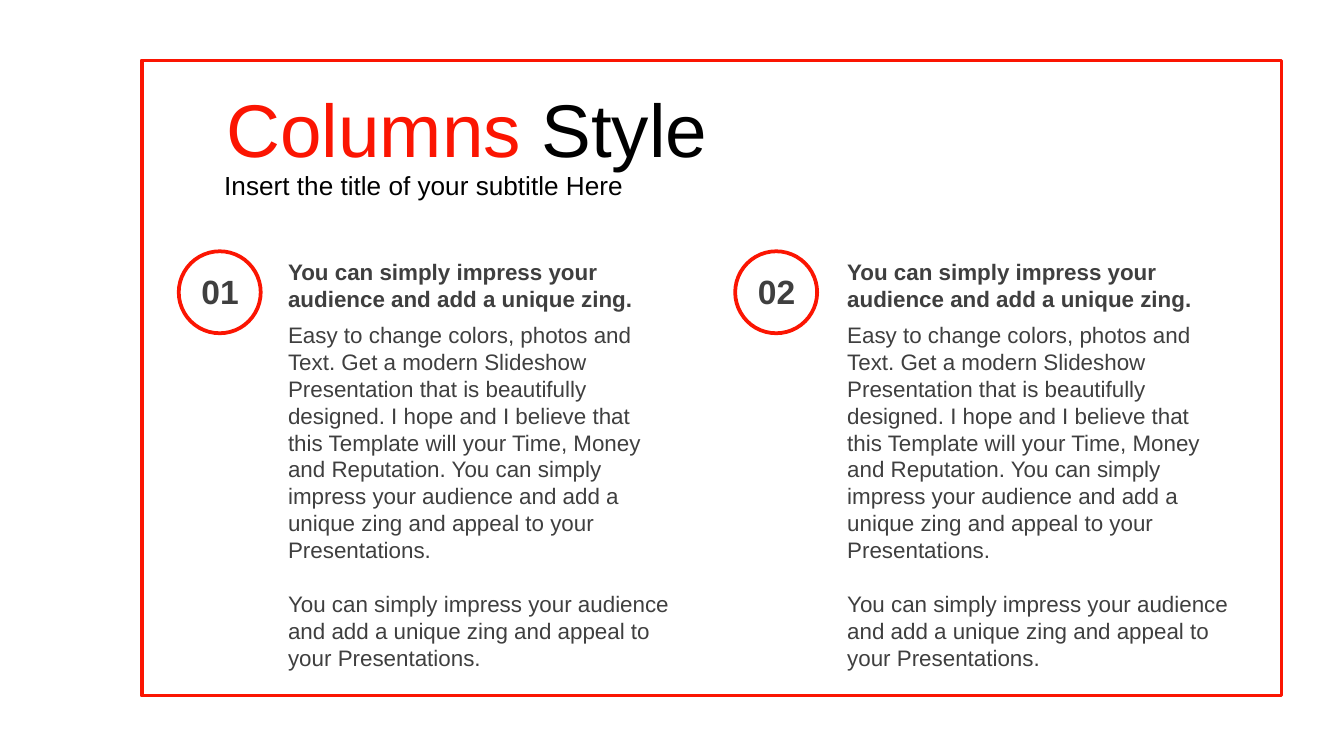
from pptx import Presentation
from pptx.dml.color import RGBColor
from pptx.enum.shapes import MSO_SHAPE as Shape
from pptx.enum.text import MSO_ANCHOR as Anchor, MSO_AUTO_SIZE as AutoSize, PP_ALIGN as Align
from pptx.util import Inches, Pt

COLUMNS, ROWS = 100, 56.25
RED, BLACK, GREY, WHITE = "FB1502", "000000", "3F3F3F", "FFFFFF"
HEADING = "You can simply impress your audience and add a unique zing."
BODY = [
    "Easy to change colors, photos and Text. Get a modern Slideshow Presentation that is "
    "beautifully designed. I hope and I believe that this Template will your Time, Money and "
    "Reputation. You can simply impress your audience and add a unique zing and appeal to your "
    "Presentations.",
    "You can simply impress your audience and add a unique zing and appeal to your Presentations.",
]


def colour(value):
    """Turn a hex string into a colour."""
    return RGBColor.from_string(value)


class Page:
    """Hold the style and the current slide, placed on a grid of columns and rows."""

    font = "Arial"
    line_width = Pt(2)

    def __init__(self, deck):
        """Add a title-only slide to the deck."""
        self.slide = deck.slides.add_slide(deck.slide_layouts[5])
        self.column = deck.slide_width / COLUMNS
        self.row = deck.slide_height / ROWS

    def place(self, left, top, width, height):
        """Convert a grid cell range into slide lengths."""
        return (round(left * self.column), round(top * self.row),
                round(width * self.column), round(height * self.row))

    def style(self, paragraph, size, ink, bold=False):
        """Set the font and alignment of a paragraph."""
        paragraph.alignment = Align.LEFT
        font = paragraph.font
        font.name, font.size, font.bold = self.font, Pt(size), bold
        font.color.rgb = colour(ink)

    def frame_text(self, frame, inset, anchor):
        """Set the wrapping, insets and anchor of a text frame."""
        frame.word_wrap, frame.auto_size = True, AutoSize.NONE
        frame.vertical_anchor = anchor
        frame.margin_left = frame.margin_right = Inches(0.1)
        frame.margin_top = frame.margin_bottom = Inches(inset)

    def title(self, accent, rest, cell):
        """Move and fill the title placeholder, with its first word accented."""
        heading = self.slide.shapes.title
        heading.left, heading.top, heading.width, heading.height = self.place(*cell)
        self.frame_text(heading.text_frame, 0.1, Anchor.MIDDLE)
        paragraph = heading.text_frame.paragraphs[0]
        self.style(paragraph, 40, BLACK)
        accented = paragraph.add_run()
        accented.text = accent
        accented.font.color.rgb = colour(RED)
        paragraph.add_run().text = rest

    def text(self, lines, cell, size, ink=GREY, bold=False, inset=0.05, anchor=Anchor.TOP):
        """Add a text box with one paragraph per line, a blank line's gap apart."""
        frame = self.slide.shapes.add_textbox(*self.place(*cell)).text_frame
        self.frame_text(frame, inset, anchor)
        for index, line in enumerate(lines):
            paragraph = frame.add_paragraph() if index else frame.paragraphs[0]
            paragraph.text = line
            if index:
                paragraph.space_before = Pt(size * 1.2)
            self.style(paragraph, size, ink, bold)

    def outline(self, kind, cell, fill=None):
        """Add a red-outlined shape."""
        shape = self.slide.shapes.add_shape(kind, *self.place(*cell))
        shape.shadow.inherit = False
        if fill:
            shape.fill.solid()
            shape.fill.fore_color.rgb = colour(fill)
        else:
            shape.fill.background()
        shape.line.color.rgb = colour(RED)
        shape.line.width = self.line_width

    def numbered_column(self, number, badge_left, text_left):
        """Add a numbered circle with its heading and body."""
        self.outline(Shape.OVAL, (badge_left, 18.7, 6.1, 6.1), WHITE)
        self.text([f"{number:02}"], (badge_left + 0.7, 19.7, 4.8, 4), 18, bold=True)
        self.text([HEADING], (text_left, 18.7, 30.5, 5), 12, bold=True)
        self.text(BODY, (text_left, 23.4, 30.5, 25.2), 12)


def main():
    """Build and save the slide."""
    deck = Presentation()
    deck.slide_width = Inches(10)
    deck.slide_height = deck.slide_width * 9 // 16
    page = Page(deck)
    page.outline(Shape.RECTANGLE, (10.55, 4.5, 84.8, 47.25))
    page.title("Columns", " Style", (15.85, 6.65, 75.7, 5.7))
    page.text(["Insert the title of your subtitle Here"], (15.7, 12.3, 75.8, 2.9), 14,
              BLACK, inset=0.1, anchor=Anchor.MIDDLE)
    for index in range(2):
        page.numbered_column(index + 1, 13.3 + index * 41.4, 20.45 + index * 41.6)
    deck.save("out.pptx")


if __name__ == "__main__":
    main()
